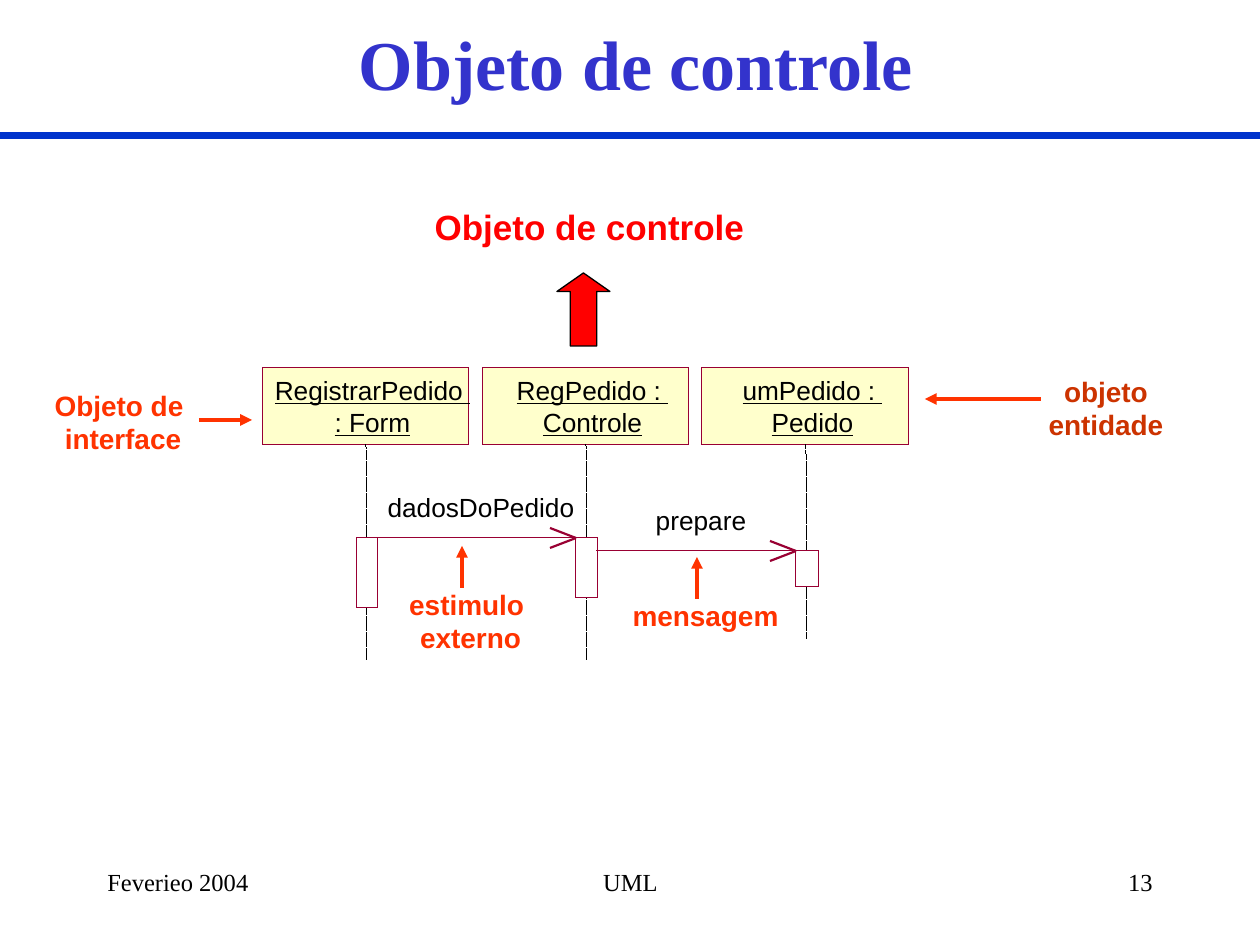
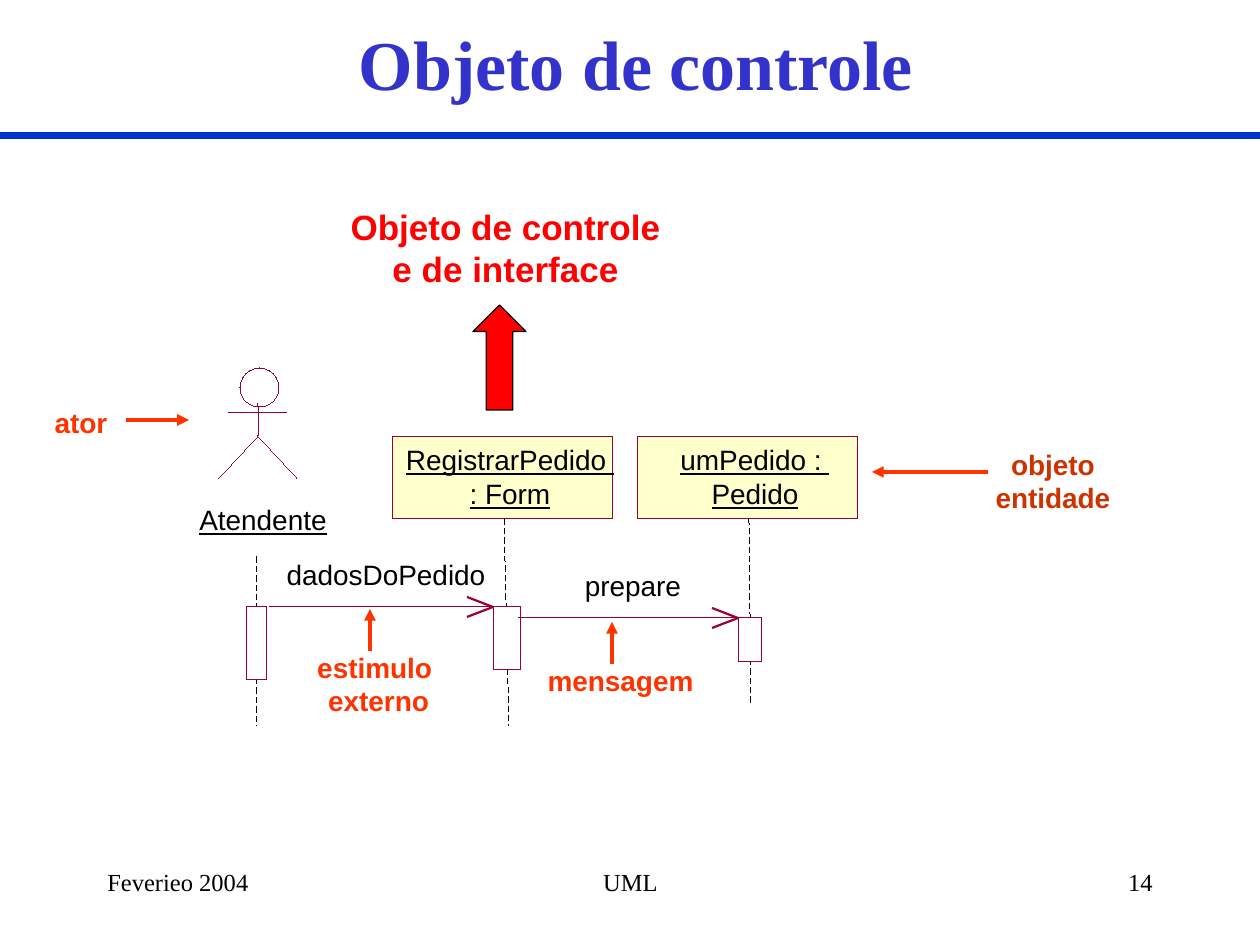
from lxml import etree
from pptx import Presentation
from pptx.dml.color import RGBColor
from pptx.enum.dml import MSO_LINE
from pptx.enum.shapes import MSO_CONNECTOR, MSO_SHAPE
from pptx.enum.text import MSO_ANCHOR, MSO_AUTO_SIZE, PP_ALIGN
from pptx.oxml.ns import qn
from pptx.util import Emu, Pt

STRAIGHT = MSO_CONNECTOR.STRAIGHT
RECT, OVAL, UP_ARROW = MSO_SHAPE.RECTANGLE, MSO_SHAPE.OVAL, MSO_SHAPE.UP_ARROW
DASH, SHORT_DASH = MSO_LINE.DASH, MSO_LINE.SQUARE_DOT
LEFT, CENTER, RIGHT = PP_ALIGN.LEFT, PP_ALIGN.CENTER, PP_ALIGN.RIGHT
TOP, MIDDLE = MSO_ANCHOR.TOP, MSO_ANCHOR.MIDDLE
FIT = MSO_AUTO_SIZE.SHAPE_TO_FIT_TEXT

BLACK, WHITE, WINE, CREAM = "000000", "FFFFFF", "990033", "FFFFCC"
RED, ORANGE, RUST = "FF0000", "FF3300", "CC3300"
INDIGO, BLUE = "3333CC", "0033CC"
SANS, SERIF = "Arial", "Times New Roman"

TITLE = dict(name=SERIF, size=40, bold=True, color=INDIGO)
FOOTER = dict(name=SERIF, size=14, color=BLACK)
BANNER = dict(name=SANS, size=20, bold=True, color=RED)
NOTE = dict(name=SANS, size=16, bold=True, color=ORANGE)
ENTITY_NOTE = dict(NOTE, color=RUST)


def px(n):
    return Emu(round(n * 914400 / 126))


def rgb(value):
    return RGBColor.from_string(value)


def add_text(s, box, lines, fmt, align=CENTER, anchor=TOP, wrap=False, inset=True):
    tf = s.shapes.add_textbox(*map(px, box)).text_frame
    tf.word_wrap, tf.vertical_anchor = wrap, anchor
    if not wrap:
        tf.auto_size = FIT
    if not inset:
        tf.margin_left = tf.margin_right = tf.margin_top = tf.margin_bottom = 0
    for i, line in enumerate(lines):
        p = tf.paragraphs[0] if i == 0 else tf.add_paragraph()
        p.alignment = align
        r = p.add_run()
        r.text = line
        for key, value in fmt.items():
            if key == "color":
                r.font.color.rgb = rgb(value)
            else:
                setattr(r.font, key, Pt(value) if key == "size" else value)


def stroke(line, color, width):
    line.color.rgb = rgb(color)
    ln = line._get_or_add_ln()
    ln.set("w", str(int(Pt(width))))
    return ln


def paint(sp, fill=None, color=WINE, width=0):
    sp.shadow.inherit = False
    if fill:
        sp.fill.solid()
        sp.fill.fore_color.rgb = rgb(fill)
    else:
        sp.fill.background()
    stroke(sp.line, color, width)


def add_box(s, kind, box, fill=None, color=WINE, width=0):
    sp = s.shapes.add_shape(kind, *map(px, box))
    paint(sp, fill, color, width)
    return sp


def add_line(s, start, end, color=WINE, width=0, dash=None, arrow=False):
    c = s.shapes.add_connector(STRAIGHT, *map(px, start + end))
    ln = stroke(c.line, color, width)
    if dash:
        c.line.dash_style = dash
    if arrow:
        etree.SubElement(ln, qn("a:tailEnd"), type="triangle")
    etree.SubElement(c._element.spPr, qn("a:effectLst"))


def add_frame(s, number):
    add_text(s, (53, 0, 1166, 126), ["Objeto de controle"], TITLE,
             anchor=MIDDLE, wrap=True)
    add_line(s, (0, 136), (1260, 136), BLUE, 4)
    for x, w, text, align in ((95, 262, "Feverieo 2004", LEFT),
                              (431, 399, "UML", CENTER),
                              (903, 262, str(number), RIGHT)):
        add_text(s, (x, 861, w, 63), [text], FOOTER, align, wrap=True)


def add_banner(s, x, arrow_y, arrow_h, head, lines):
    sp = add_box(s, UP_ARROW, (x - 26, arrow_y, 53, arrow_h), RED, BLACK, 0.75)
    sp.adjustments[0], sp.adjustments[1] = 0.5, head
    add_text(s, (x - 161, 199, 335, 13 + 42 * len(lines)), lines, BANNER)


def add_lifeline(s, x, top, bottom, lean, dash, bar):
    y, w, h = bar
    add_line(s, (x, top), (x + lean, bottom), BLACK, 0, dash)
    add_box(s, RECT, (x - 10, y, w, h), WHITE)


def add_object(s, box, lines, size, step, **life):
    x, y, w, h = box
    add_box(s, RECT, box, CREAM)
    fmt = dict(name=SANS, size=size, underline=True, color=BLACK)
    for i, line in enumerate(lines):
        add_text(s, (x + 7, y + 6 + i * step, w, step), [line], fmt, inset=False)
    add_lifeline(s, x + w // 2 + 1, y + h, **life)


def add_actor(s, box, name):
    x, y, w, h = box
    mid, hip = x + w // 2, y + 68
    add_box(s, OVAL, (mid - 18, y, 39, 39))
    add_line(s, (mid, y + 36), (mid + 1, hip))
    add_line(s, (x + 10, y + 45), (x + w - 10, y + 45))
    legs = s.shapes.build_freeform(px(x), px(y + h))
    legs.add_line_segments([(px(mid), px(hip)), (px(x + w), px(y + h))], close=False)
    paint(legs.convert_to_shape())
    add_text(s, (mid - 75, y + h + 25, 160, 34), [name],
             dict(name=SANS, size=16, underline=True, color=BLACK), inset=False)
    add_lifeline(s, mid - 1, y + 189, y + 358, 0, DASH, (607, 20, 73))


def add_message(s, x1, x2, y, text, size, step):
    add_line(s, (x1, y), (x2, y))
    for dy in (10, -10):
        add_line(s, (x2, y), (x2 - 26, y + dy), WINE, 1.25)
    add_text(s, ((x1 + x2) // 2 - 115, y - step - 15, 240, step), [text],
             dict(name=SANS, size=size, color=BLACK), inset=False)


def add_message_note(s, x, y, lines):
    add_line(s, (x, y + 42), (x, y), ORANGE, 2.25, arrow=True)
    add_text(s, (x - 77, y + 35, 171, 13 + 34 * len(lines)), lines, NOTE)


def add_side_note(s, box, lines, tail, tip, y, fmt=NOTE):
    add_line(s, (tail, y), (tip, y), ORANGE, 2.25, arrow=True)
    add_text(s, box, lines, fmt)


def add_entity_note(s, x, y):
    add_side_note(s, (x + 101, y - 31, 160, 81), ["objeto", "entidade"],
                  x + 116, x, y, ENTITY_NOTE)


def add_control_slide(s):
    add_frame(s, 13)
    objects = ((("RegistrarPedido ", ": Form"), 660, (538, 22, 70)),
               (("RegPedido : ", "Controle"), 660, (538, 22, 60)),
               (("umPedido : ", "Pedido"), 639, (551, 23, 36)))
    for i, (lines, bottom, bar) in enumerate(objects):
        add_object(s, (262 + 220 * i, 368, 207, 77), lines, 15, 32,
                   bottom=bottom, lean=1, dash=SHORT_DASH, bar=bar)
    add_message(s, 377, 576, 538, "dadosDoPedido", 15, 32)
    add_message(s, 597, 796, 551, "prepare", 15, 32)
    add_message_note(s, 462, 546, ["estimulo ", "externo"])
    add_message_note(s, 697, 557, ["mensagem"])
    add_banner(s, 583, 273, 73, 0.35, ["Objeto de controle"])
    add_side_note(s, (33, 382, 180, 81), ["Objeto de ", "interface"], 199, 252, 420)
    add_entity_note(s, 925, 399)


def add_actor_slide(s):
    add_frame(s, 14)
    add_actor(s, (219, 368, 78, 110), "Atendente")
    objects = ((("RegistrarPedido ", ": Form"), 726, 5, (607, 27, 63)),
               (("umPedido : ", "Pedido"), 704, 2, (618, 23, 44)))
    for i, (lines, bottom, lean, bar) in enumerate(objects):
        add_object(s, (393 + 245 * i, 437, 220, 82), lines, 16, 34,
                   bottom=bottom, lean=lean, dash=DASH, bar=bar)
    add_message(s, 270, 493, 607, "dadosDoPedido", 16, 34)
    add_message(s, 519, 738, 618, "prepare", 16, 34)
    add_message_note(s, 370, 609, ["estimulo ", "externo"])
    add_message_note(s, 612, 622, ["mensagem"])
    add_banner(s, 499, 305, 105, 0.5, ["Objeto de controle", "e de interface"])
    add_side_note(s, (31, 399, 100, 47), ["ator"], 126, 189, 420)
    add_entity_note(s, 872, 472)


def main():
    prs = Presentation()
    prs.slide_width, prs.slide_height = px(1260), px(945)
    for build in (add_control_slide, add_actor_slide):
        build(prs.slides.add_slide(prs.slide_layouts[6]))
    prs.save("out.pptx")


if __name__ == "__main__":
    main()
